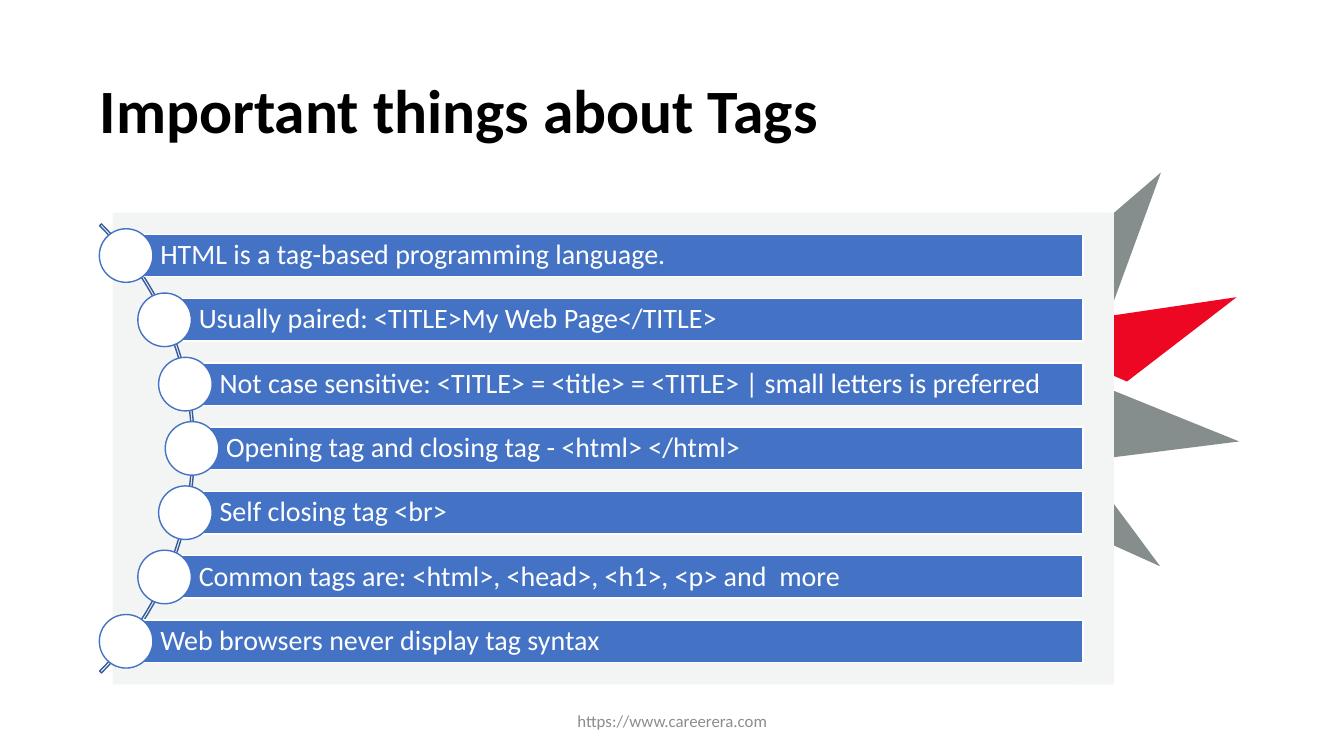
from math import sqrt

from pptx import Presentation
from pptx.dml.color import RGBColor
from pptx.enum.shapes import MSO_SHAPE
from pptx.enum.text import MSO_ANCHOR, MSO_AUTO_SIZE, PP_ALIGN
from pptx.util import Cm, Pt

FONT = "Calibri"
COLOURS = {
    "black": "000000",
    "white": "FFFFFF",
    "blue": "4472C4",
    "dark_blue": "365B9D",
    "red": "ED0722",
    "grey": "868D8D",
    "panel": "F3F5F5",
    "footer": "8C8C8C",
}

TAG_FACTS = [
    "HTML is a tag-based programming language.",
    "Usually paired: <TITLE>My Web Page</TITLE>",
    "Not case sensitive: <TITLE> = <title> = <TITLE> | small letters is preferred",
    "Opening tag and closing tag - <html> </html>",
    "Self closing tag <br>",
    "Common tags are: <html>, <head>, <h1>, <p> and  more",
    "Web browsers never display tag syntax",
]

# Left, top, rotation and colour of the rays behind the panel
RAYS = [
    (25.55, 7.9, 171.6, "red"),
    (23.95, 11.61, 233.4, "grey"),
    (25.35, 9.98, 202, "grey"),
    (24.74, 6.02, 139.3, "grey"),
]

# Geometry of the curved list, in centimetres
ARC_X, ARC_Y, ARC_RADIUS = -3.1, 11.3, 8
DOT_RADIUS, DOT_ORBIT = 0.675, 7.94
BAR_RIGHT, BAR_HEIGHT, ROW_PITCH = 27.29, 1.07, 1.62


def colour(name):
    return RGBColor.from_string(COLOURS[name])


def add_figure(slide, preset, box, fill=None, line=None):
    figure = slide.shapes.add_shape(preset, *map(Cm, box))
    figure.shadow.inherit = False
    if fill:
        figure.fill.solid()
        figure.fill.fore_color.rgb = colour(fill)
    else:
        figure.fill.background()
    if line:
        figure.line.color.rgb = colour(line)
        figure.line.width = Pt(1)
    else:
        figure.line.fill.background()
    return figure


def write(frame, text, size, ink, align=PP_ALIGN.LEFT, bold=False, spacing=0.9):
    frame.word_wrap = True
    frame.auto_size = MSO_AUTO_SIZE.NONE
    frame.vertical_anchor = MSO_ANCHOR.MIDDLE
    paragraph = frame.paragraphs[0]
    paragraph.alignment = align
    paragraph.line_spacing = spacing
    run = paragraph.add_run()
    run.text = text
    run.font.name = FONT
    run.font.size = Pt(size)
    run.font.bold = bold
    run.font.color.rgb = colour(ink)


def add_title(slide, text):
    title = slide.shapes.title
    title.left, title.top, title.width, title.height = map(Cm, (2.26, 1.02, 25.12, 3.68))
    write(title.text_frame, text, 44, "black", bold=True)


def add_backdrop(slide):
    for left, top, rotation, fill in RAYS:
        ray = add_figure(slide, MSO_SHAPE.ISOSCELES_TRIANGLE, (left, top, 5.77, 1.7), fill)
        ray.adjustments[0] = 0.528
        ray.rotation = rotation
    for left, width in ((2.84, 25.12), (27, 1.07)):
        add_figure(slide, MSO_SHAPE.RECTANGLE, (left, 5.36, width, 11.89), "panel")


def add_arc(slide):
    box = (ARC_X - ARC_RADIUS, ARC_Y - ARC_RADIUS, 2 * ARC_RADIUS, 2 * ARC_RADIUS)
    arc = add_figure(slide, MSO_SHAPE.BLOCK_ARC, box, line="dark_blue")
    # Start and end angle (315 and 45 degrees), then the thickness
    for index, value in enumerate((189, 27, 0.004)):
        arc.adjustments[index] = value


def add_fact(slide, fact, offset):
    """Draw one bar and its dot, offset vertically from the arc's centre."""
    x = ARC_X + sqrt(DOT_ORBIT ** 2 - offset ** 2)
    y = ARC_Y + offset
    bar = add_figure(slide, MSO_SHAPE.RECTANGLE,
                     (x, y - BAR_HEIGHT / 2, BAR_RIGHT - x, BAR_HEIGHT), "blue", "white")
    frame = bar.text_frame
    frame.margin_left = Cm(0.86)
    frame.margin_top = frame.margin_right = frame.margin_bottom = Cm(0.15)
    write(frame, fact, 20, "white")
    add_figure(slide, MSO_SHAPE.OVAL,
               (x - DOT_RADIUS, y - DOT_RADIUS, 2 * DOT_RADIUS, 2 * DOT_RADIUS),
               "white", "blue")


def add_footer(slide, text):
    footer = slide.shapes.add_textbox(Cm(11.23), Cm(17.65), Cm(11.43), Cm(1.02))
    write(footer.text_frame, text, 12, "footer", PP_ALIGN.CENTER, spacing=1.0)


def main():
    deck = Presentation()
    deck.slide_width, deck.slide_height = Cm(33.87), Cm(19.05)
    slide = deck.slides.add_slide(deck.slide_layouts[5])

    # Panel with rays
    add_backdrop(slide)

    # Title and footer
    add_title(slide, "Important things about Tags")
    add_footer(slide, "https://www.careerera.com")

    # Curved list
    add_arc(slide)
    middle = len(TAG_FACTS) // 2
    for row, fact in enumerate(TAG_FACTS):
        add_fact(slide, fact, (row - middle) * ROW_PITCH)

    deck.save("out.pptx")


if __name__ == "__main__":
    main()
